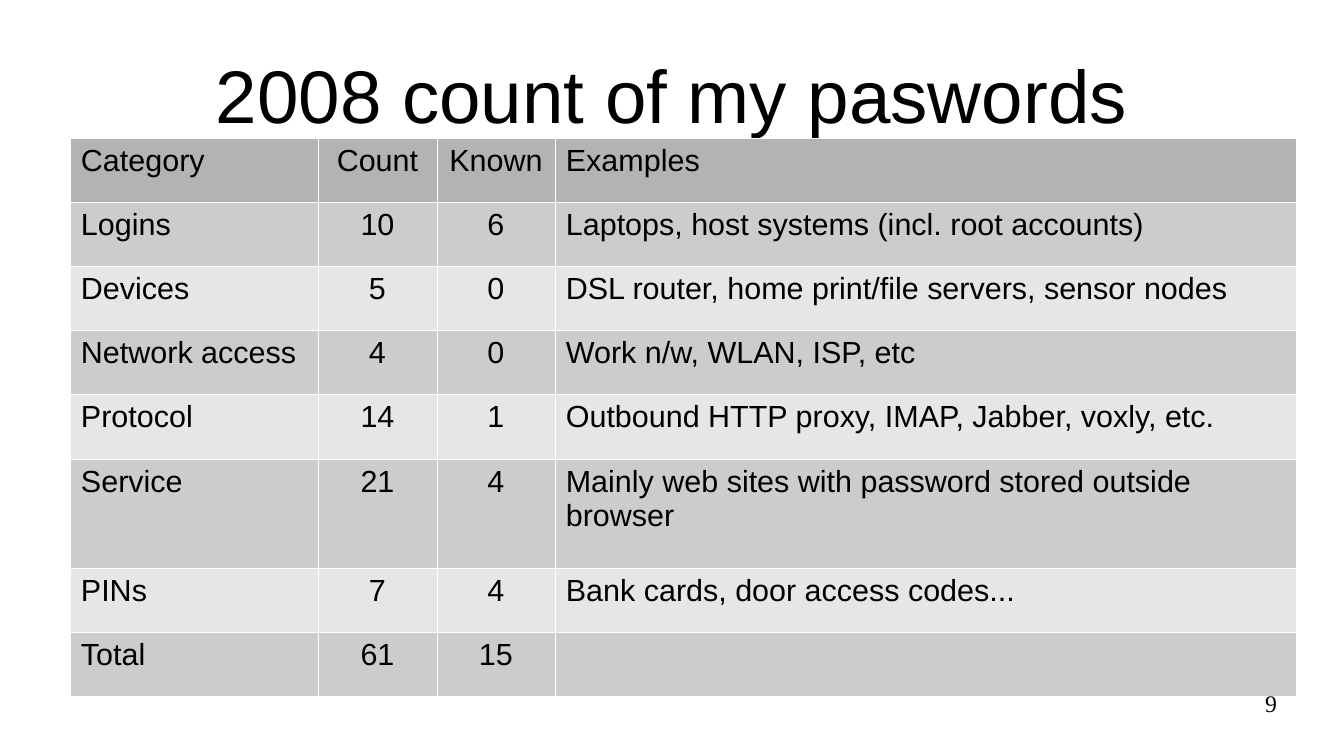
from dataclasses import dataclass

from pptx import Presentation
from pptx import util as u
from pptx.dml.color import RGBColor
from pptx.enum import text
from pptx.oxml import parse_xml
from pptx.oxml.ns import nsdecls

PX = 914400 / 122
LEFT, CENTER, RIGHT = text.PP_ALIGN.LEFT, text.PP_ALIGN.CENTER, text.PP_ALIGN.RIGHT
TOP, MIDDLE = text.MSO_ANCHOR.TOP, text.MSO_ANCHOR.MIDDLE


@dataclass(frozen=True)
class Theme:
    """Colours, fonts and type sizes of the slide."""
    ink: str = "000000"
    header: str = "B3B3B3"
    bands: tuple = ("CCCCCC", "E6E6E6")
    rule: str = "FFFFFF"
    rule_width: float = 0.06
    sans: str = "Arial"
    serif: str = "Times New Roman"
    title_size: int = 44
    table_size: int = 18
    number_size: int = 14


THEME = Theme()
CELL_INSET = 11
COLUMN_WIDTHS = (248, 119, 118, 741)
COLUMN_ALIGNS = (LEFT, CENTER, CENTER, LEFT)
ROW_HEIGHTS = (64, 64, 64, 64, 65, 109, 64, 64)
PASSWORD_COUNTS = (
    ("Category", "Count", "Known", "Examples"),
    ("Logins", "10", "6", "Laptops, host systems (incl. root accounts)"),
    ("Devices", "5", "0", "DSL router, home print/file servers, sensor nodes"),
    ("Network access", "4", "0", "Work n/w, WLAN, ISP, etc"),
    ("Protocol", "14", "1", "Outbound HTTP proxy, IMAP, Jabber, voxly, etc."),
    ("Service", "21", "4", "Mainly web sites with password stored outside browser"),
    ("PINs", "7", "4", "Bank cards, door access codes..."),
    ("Total", "61", "15", ""),
)


def px(length):
    """Turn px into EMU."""
    return u.Emu(round(length * PX))


def write(frame, words, size, font=THEME.sans, align=LEFT):
    """Put formatted text into a text frame."""
    paragraph = frame.paragraphs[0]
    paragraph.alignment = align
    paragraph.font.size = u.Pt(size)
    if words:
        run = paragraph.add_run()
        run.text = words
        run.font.name = font
        run.font.size = u.Pt(size)
        run.font.bold = False
        run.font.color.rgb = RGBColor.from_string(THEME.ink)


def add_label(slide, box, words, anchor=TOP, **style):
    """Place a text box without insets in the given box."""
    frame = slide.shapes.add_textbox(*map(px, box)).text_frame
    frame.word_wrap = True
    frame.vertical_anchor = anchor
    frame.margin_left = frame.margin_right = frame.margin_top = frame.margin_bottom = 0
    write(frame, words, **style)


def add_borders(cell):
    """Draw thin rules on all four sides of a cell."""
    properties = cell._tc.get_or_add_tcPr()
    for side in "LRTB":
        properties.append(parse_xml(
            f'<a:ln{side} {nsdecls("a")} w="{u.Pt(THEME.rule_width)}"><a:solidFill>'
            f'<a:srgbClr val="{THEME.rule}"/></a:solidFill></a:ln{side}>'))


def add_password_table(slide, left, top):
    """Place the banded table of password counts."""
    table = slide.shapes.add_table(
        len(ROW_HEIGHTS), len(COLUMN_WIDTHS), px(left), px(top),
        px(sum(COLUMN_WIDTHS)), px(sum(ROW_HEIGHTS))).table
    for column, width in zip(table.columns, COLUMN_WIDTHS):
        column.width = px(width)
    for index, (row, height, entries) in enumerate(
            zip(table.rows, ROW_HEIGHTS, PASSWORD_COUNTS)):
        row.height = px(height)
        band = THEME.bands[(index - 1) % 2] if index else THEME.header
        for cell, entry, align in zip(row.cells, entries, COLUMN_ALIGNS):
            add_borders(cell)
            cell.margin_left = cell.margin_right = px(CELL_INSET)
            cell.fill.solid()
            cell.fill.fore_color.rgb = RGBColor.from_string(band)
            write(cell.text_frame, entry, THEME.table_size, align=align)


def build_table_slide(deck):
    """Build the slide with title, table and page number."""
    slide = deck.slides.add_slide(deck.slide_layouts[6])
    add_label(slide, (67, 30, 1210, 127), "2008 count of my paswords",
              anchor=MIDDLE, size=THEME.title_size, align=CENTER)
    add_password_table(slide, 70, 138)
    add_label(slide, (964, 689, 313, 52), "9", size=THEME.number_size,
              font=THEME.serif, align=RIGHT)


def main():
    """Create and save the deck."""
    deck = Presentation()
    deck.slide_width, deck.slide_height = px(1344), px(756)
    build_table_slide(deck)
    deck.save("out.pptx")


if __name__ == "__main__":
    main()
